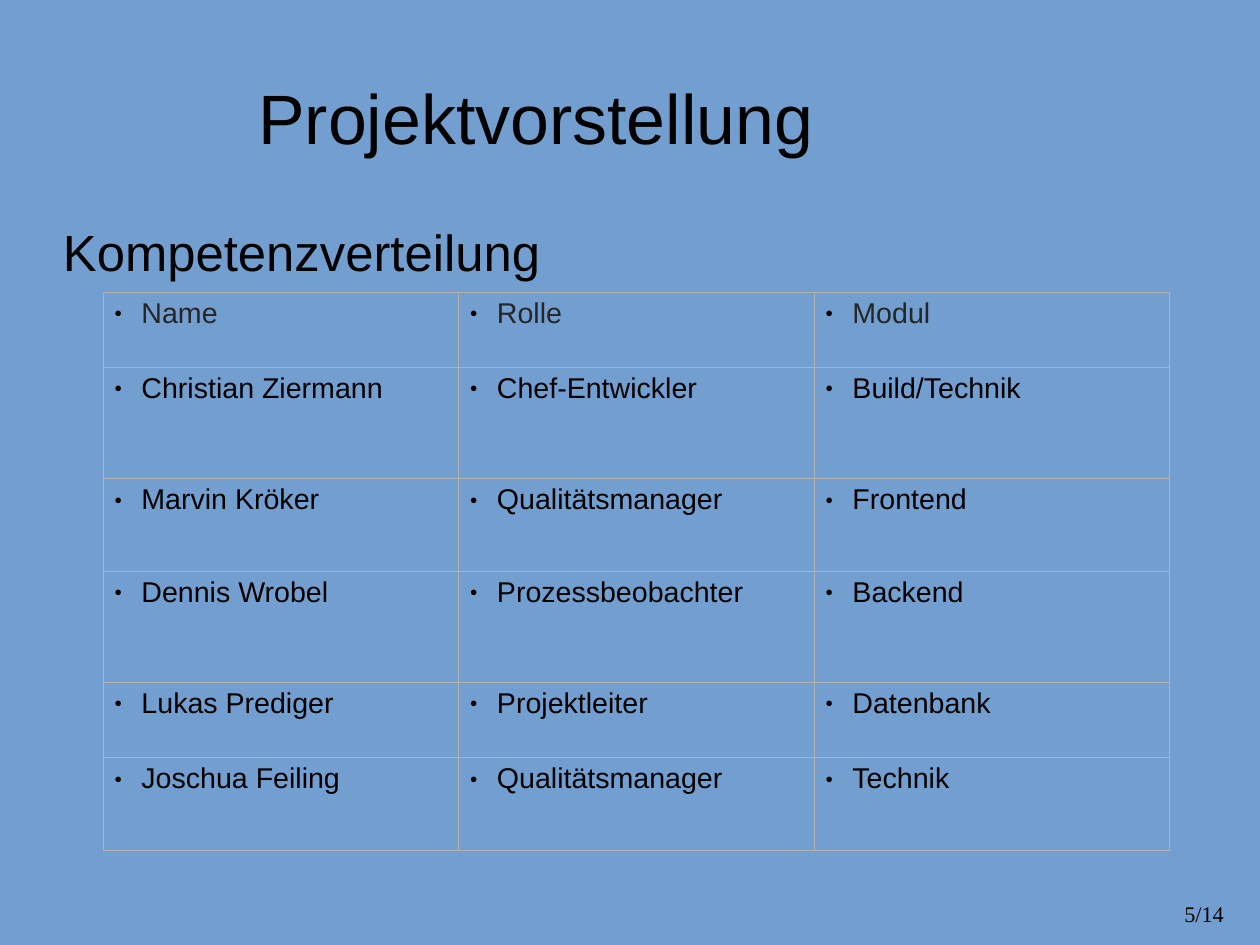
import pptx
import pptx.dml.color
import pptx.enum.text
import pptx.oxml
import pptx.oxml.ns
import pptx.util
from pptx.util import Cm

BLUE = pptx.dml.color.RGBColor(0x72, 0x9F, 0xCF)
BLACK = pptx.dml.color.RGBColor(0x00, 0x00, 0x00)
DARK_GRAY = pptx.dml.color.RGBColor(0x26, 0x26, 0x26)
BORDER_GRAY = pptx.dml.color.RGBColor(0xB2, 0xB2, 0xB2)

ROWS = [
    ("Name", "Rolle", "Modul"),
    ("Christian Ziermann", "Chef-Entwickler", "Build/Technik"),
    ("Marvin Kröker", "Qualitätsmanager", "Frontend"),
    ("Dennis Wrobel", "Prozessbeobachter", "Backend"),
    ("Lukas Prediger", "Projektleiter", "Datenbank"),
    ("Joschua Feiling", "Qualitätsmanager", "Technik"),
]
ROW_HEIGHTS = [1.67, 2.47, 2.06, 2.47, 1.67, 2.06]
COLUMN_WIDTH = 7.9


def append_xml(parent, tag, content="", attributes=""):
    namespace = pptx.oxml.ns.nsdecls("a")
    parent.append(pptx.oxml.parse_xml(
        f"<a:{tag} {namespace} {attributes}>{content}</a:{tag}>"))


class SlideBuilder:
    font_name = "Arial"
    align = pptx.enum.text.PP_ALIGN
    anchor = pptx.enum.text.MSO_ANCHOR

    def __init__(self, slide):
        self.slide = slide
        slide.background.fill.solid()
        slide.background.fill.fore_color.rgb = BLUE

    def style(self, paragraph, size, color=BLACK, alignment=align.LEFT, font_name=font_name):
        paragraph.alignment = alignment
        font = paragraph.font
        font.name = font_name
        font.size = pptx.util.Pt(size)
        font.color.rgb = color

    def fill_frame(self, shape, text, anchor):
        """Set the text without margins and return its paragraph."""
        frame = shape.text_frame
        frame.text = text
        frame.word_wrap = True
        frame.auto_size = pptx.enum.text.MSO_AUTO_SIZE.NONE
        frame.vertical_anchor = anchor
        frame.margin_left = frame.margin_right = 0
        frame.margin_top = frame.margin_bottom = 0
        return frame.paragraphs[0]

    def place(self, shape, left, top, width, height):
        shape.left, shape.top = Cm(left), Cm(top)
        shape.width, shape.height = Cm(width), Cm(height)

    def indent(self, paragraph, distance):
        """Hang the first line by the given distance and return the properties."""
        properties = paragraph._p.get_or_add_pPr()
        properties.set("marL", str(Cm(distance)))
        properties.set("indent", str(-Cm(distance)))
        return properties

    def title(self, text, *box):
        shape = self.slide.shapes.title
        self.place(shape, *box)
        paragraph = self.fill_frame(shape, text, self.anchor.MIDDLE)
        self.style(paragraph, 44, alignment=self.align.CENTER)

    def body(self, text, *box):
        shape = self.slide.placeholders[1]
        self.place(shape, *box)
        paragraph = self.fill_frame(shape, text, self.anchor.TOP)
        append_xml(self.indent(paragraph, 1.27), "buNone")
        paragraph.space_before = pptx.util.Pt(14.1)
        self.style(paragraph, 32)

    def page_number(self, text, *box):
        shape = self.slide.shapes.add_textbox(*map(Cm, box))
        paragraph = self.fill_frame(shape, text, self.anchor.TOP)
        self.style(paragraph, 14, alignment=self.align.RIGHT, font_name="Times New Roman")

    def table(self, rows, row_heights, column_width, left, top):
        columns = len(rows[0])
        table = self.slide.shapes.add_table(
            len(rows), columns, Cm(left), Cm(top),
            Cm(column_width * columns), Cm(sum(row_heights))).table
        table.first_row = table.horz_banding = False
        for column in table.columns:
            column.width = Cm(column_width)
        for index, (texts, height) in enumerate(zip(rows, row_heights)):
            table.rows[index].height = Cm(height)
            color = DARK_GRAY if index == 0 else BLACK
            for cell, text in zip(table.rows[index].cells, texts):
                self.cell(cell, text, color)

    def cell(self, cell, text, color):
        cell.text = text
        paragraph = cell.text_frame.paragraphs[0]
        self.bullet(paragraph)
        self.style(paragraph, 18, color)
        properties = cell._tc.get_or_add_tcPr()
        line = f'<a:solidFill><a:srgbClr val="{BORDER_GRAY}"/></a:solidFill>'
        for side in ("lnL", "lnR", "lnT", "lnB"):
            append_xml(properties, side, line, f'w="{pptx.util.Pt(0.06)}"')
        cell.fill.solid()
        cell.fill.fore_color.rgb = BLUE

    def bullet(self, paragraph):
        properties = self.indent(paragraph, 0.6)
        append_xml(properties, "buClr", f'<a:srgbClr val="{BLACK}"/>')
        append_xml(properties, "buSzPct", attributes='val="45000"')
        append_xml(properties, "buFont", attributes=f'typeface="{self.font_name}"')
        append_xml(properties, "buChar", attributes='char="●"')


def main():
    presentation = pptx.Presentation()
    presentation.slide_width, presentation.slide_height = Cm(28), Cm(21)
    builder = SlideBuilder(presentation.slides.add_slide(presentation.slide_layouts[1]))
    builder.title("Projektvorstellung", 1.4, 0.84, 21.03, 3.51)
    builder.body("Kompetenzverteilung", 1.4, 4.9, 25.2, 12.17)
    builder.table(ROWS, ROW_HEIGHTS, COLUMN_WIDTH, 2.29, 6.48)
    builder.page_number("5/14", 26, 20, 1.2, 0.66)
    presentation.save("out.pptx")


if __name__ == "__main__":
    main()
